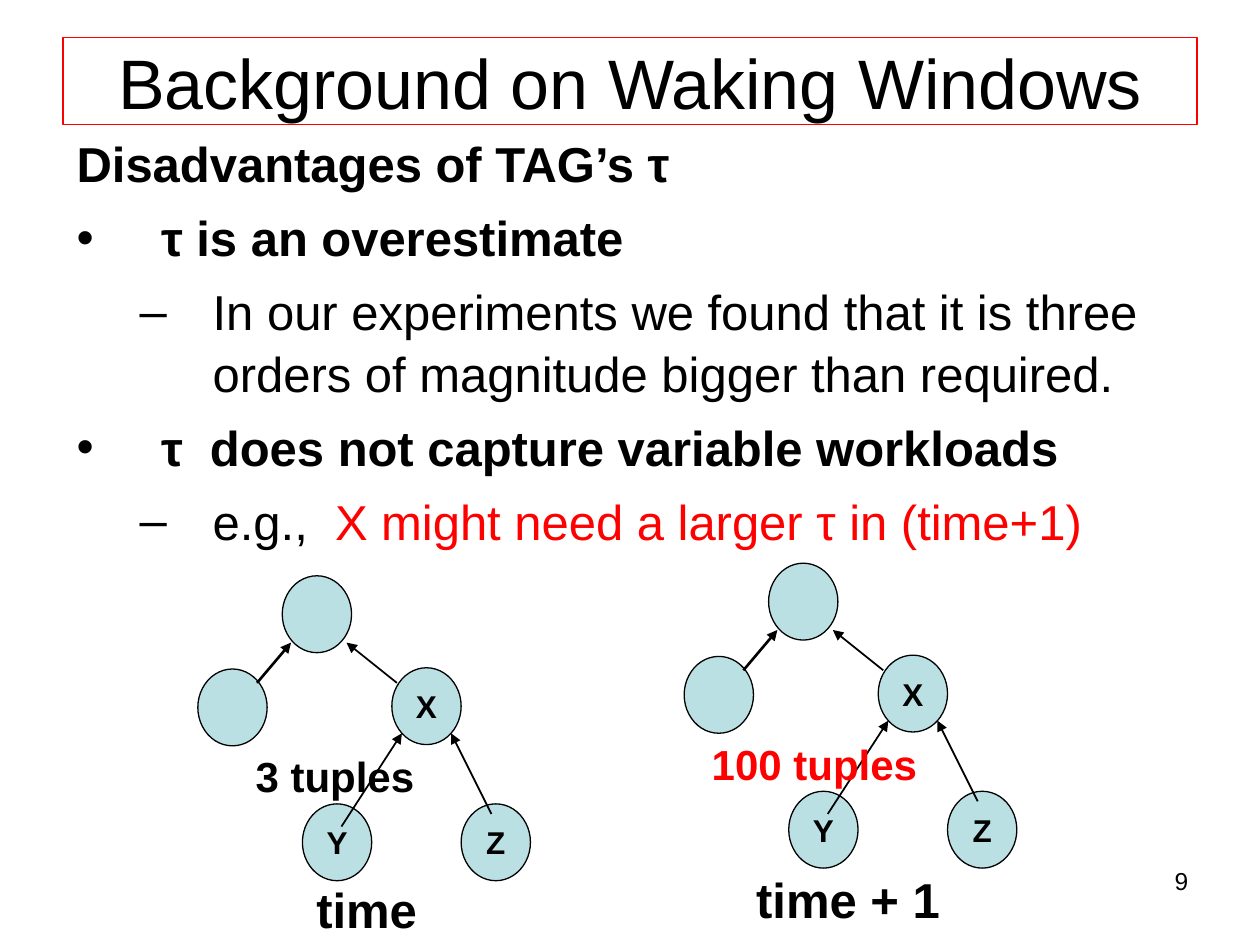
from dataclasses import dataclass

from lxml import etree
from pptx import Presentation
from pptx.dml.color import RGBColor
from pptx.enum.shapes import MSO_CONNECTOR, MSO_SHAPE
from pptx.enum.text import MSO_ANCHOR, PP_ALIGN
from pptx.oxml.ns import qn
from pptx.util import Inches, Pt

LEFT, CENTER, RIGHT = PP_ALIGN.LEFT, PP_ALIGN.CENTER, PP_ALIGN.RIGHT
MIDDLE = MSO_ANCHOR.MIDDLE
OVAL, RECTANGLE = MSO_SHAPE.OVAL, MSO_SHAPE.RECTANGLE
STRAIGHT = MSO_CONNECTOR.STRAIGHT

FONT = "Arial"
BLACK, RED, NODE_FILL = "000000", "FF0000", "BBE0E3"
NODE_WIDTH, NODE_HEIGHT = 0.55, 0.61


@dataclass
class Node:
    left: float
    top: float
    name: str = ""


@dataclass
class Edge:
    parent_x: float
    parent_y: float
    child_x: float
    child_y: float
    weight: float = 1


@dataclass
class Tree:
    dx: float
    dy: float
    workload: str
    workload_left: float
    workload_color: str
    moment: str
    moment_width: float
    moment_top: float


@dataclass
class Point:
    spans: list[tuple[str, str]]
    bold: bool
    level: int = 0
    bullet: str = ""


# Positions for the left tree; the right one is the same tree moved
NODES = [Node(2.24, 4.57), Node(1.57, 5.31), Node(3.11, 5.3, "X"),
         Node(2.4, 6.38, "Y"), Node(3.66, 6.38, "Z")]
EDGES = [Edge(2.31, 5.1, 2.04, 5.42, 1.5), Edge(2.75, 5.1, 3.15, 5.42),
         Edge(3.19, 5.82, 2.71, 6.56), Edge(3.58, 5.82, 3.9, 6.46)]
TREES = [Tree(0, 0, "3 tuples", 1.93, BLACK, "time", 2.6, 6.93),
         Tree(3.86, -0.1, "100 tuples", 1.69, RED, "time + 1", 2.52, 6.95)]

POINTS = [
    Point([("Disadvantages of TAG’s τ", BLACK)], True),
    Point([("τ is an overestimate", BLACK)], True, 0, "•"),
    Point([("In our experiments we found that it is three orders of magnitude "
            "bigger than required.", BLACK)], False, 1, "–"),
    Point([("τ  does not capture variable workloads", BLACK)], True, 0, "•"),
    Point([("e.g.,", BLACK), ("  X might need a larger τ in (time+1)", RED)],
          False, 1, "–"),
]
INDENTS = [(0.67, -0.67), (1.08, -0.58)]


def rgb(color: str) -> RGBColor:
    return RGBColor.from_string(color)


def style(font, size: float, color: str = BLACK, bold: bool = False) -> None:
    font.name = FONT
    font.size = Pt(size)
    font.bold = bold
    font.color.rgb = rgb(color)


def add_label(shapes, left: float, top: float, width: float, height: float,
              text: str, size: float, color: str = BLACK, bold: bool = False,
              align=LEFT) -> None:
    box = shapes.add_textbox(Inches(left), Inches(top), Inches(width), Inches(height))
    frame = box.text_frame
    frame.word_wrap = True
    frame.text = text
    frame.paragraphs[0].alignment = align
    style(frame.paragraphs[0].runs[0].font, size, color, bold)


def add_outlined(shapes, kind, left: float, top: float, width: float, height: float,
                 line: str, fill: str = "", text: str = "", size: float = 18,
                 bold: bool = False, wrap: bool = True) -> None:
    shape = shapes.add_shape(kind, Inches(left), Inches(top), Inches(width), Inches(height))
    shape.shadow.inherit = False
    if fill:
        shape.fill.solid()
        shape.fill.fore_color.rgb = rgb(fill)
    else:
        shape.fill.background()
    shape.line.color.rgb = rgb(line)
    shape.line.width = Pt(0.75)
    if text:
        frame = shape.text_frame
        frame.word_wrap = wrap
        frame.vertical_anchor = MIDDLE
        frame.text = text
        frame.paragraphs[0].alignment = CENTER
        style(frame.paragraphs[0].runs[0].font, size, BLACK, bold)


def add_edge(shapes, edge: Edge, dx: float, dy: float) -> None:
    line = shapes.add_connector(
        STRAIGHT, Inches(edge.parent_x + dx), Inches(edge.parent_y + dy),
        Inches(edge.child_x + dx), Inches(edge.child_y + dy))
    line.line.color.rgb = rgb(BLACK)
    line.line.width = Pt(edge.weight)
    outline = line.line._get_or_add_ln()
    etree.SubElement(outline, qn("a:headEnd"), type="triangle")
    etree.SubElement(line._element.spPr, qn("a:effectLst"))


def add_tree(shapes, tree: Tree) -> None:
    for node in NODES:
        add_outlined(shapes, OVAL, node.left + tree.dx, node.top + tree.dy,
                     NODE_WIDTH, NODE_HEIGHT, BLACK, NODE_FILL, node.name,
                     bold=True, wrap=False)
    for edge in EDGES:
        add_edge(shapes, edge, tree.dx, tree.dy)
    add_label(shapes, tree.workload_left + tree.dx, 5.91 + tree.dy, 1.89, 0.5,
              tree.workload, 24, tree.workload_color, True)
    add_label(shapes, 1.61 + tree.dx, tree.moment_top + tree.dy, tree.moment_width,
              0.57, tree.moment, 28, BLACK, True, CENTER)


def add_points(shapes) -> None:
    box = shapes.add_textbox(Inches(0.51), Inches(0.99), Inches(8.74), Inches(3.47))
    frame = box.text_frame
    frame.word_wrap = True
    for index, point in enumerate(POINTS):
        para = frame.add_paragraph() if index else frame.paragraphs[0]
        para.level = point.level
        para.line_spacing = 1.05
        if index:
            para.space_before = Pt(7)
        margin, indent = INDENTS[point.level]
        properties = para._p.get_or_add_pPr()
        properties.set("marL", str(Inches(margin)))
        properties.set("indent", str(Inches(indent)))
        if point.bullet:
            bullet_color = etree.SubElement(properties, qn("a:buClr"))
            etree.SubElement(bullet_color, qn("a:srgbClr"), val=BLACK)
            etree.SubElement(properties, qn("a:buFont"), typeface=FONT)
            etree.SubElement(properties, qn("a:buChar"), char=point.bullet)
        for text, color in point.spans:
            span = para.add_run()
            span.text = text
            style(span.font, 28, color, point.bold)


def main() -> None:
    deck = Presentation()
    deck.slide_width, deck.slide_height = Inches(10), Inches(7.5)
    page = deck.slides.add_slide(deck.slide_layouts[6])

    # Title and points
    add_outlined(page.shapes, RECTANGLE, 0.5, 0.3, 9, 0.69, RED,
                 text="Background on Waking Windows", size=40)
    add_points(page.shapes)

    # Routing trees at two moments
    for tree in TREES:
        add_tree(page.shapes.add_group_shape().shapes, tree)

    # Page number
    add_label(page.shapes, 7.2, 6.82, 2.33, 0.52, "9", 14, align=RIGHT)
    deck.save("out.pptx")


if __name__ == "__main__":
    main()
